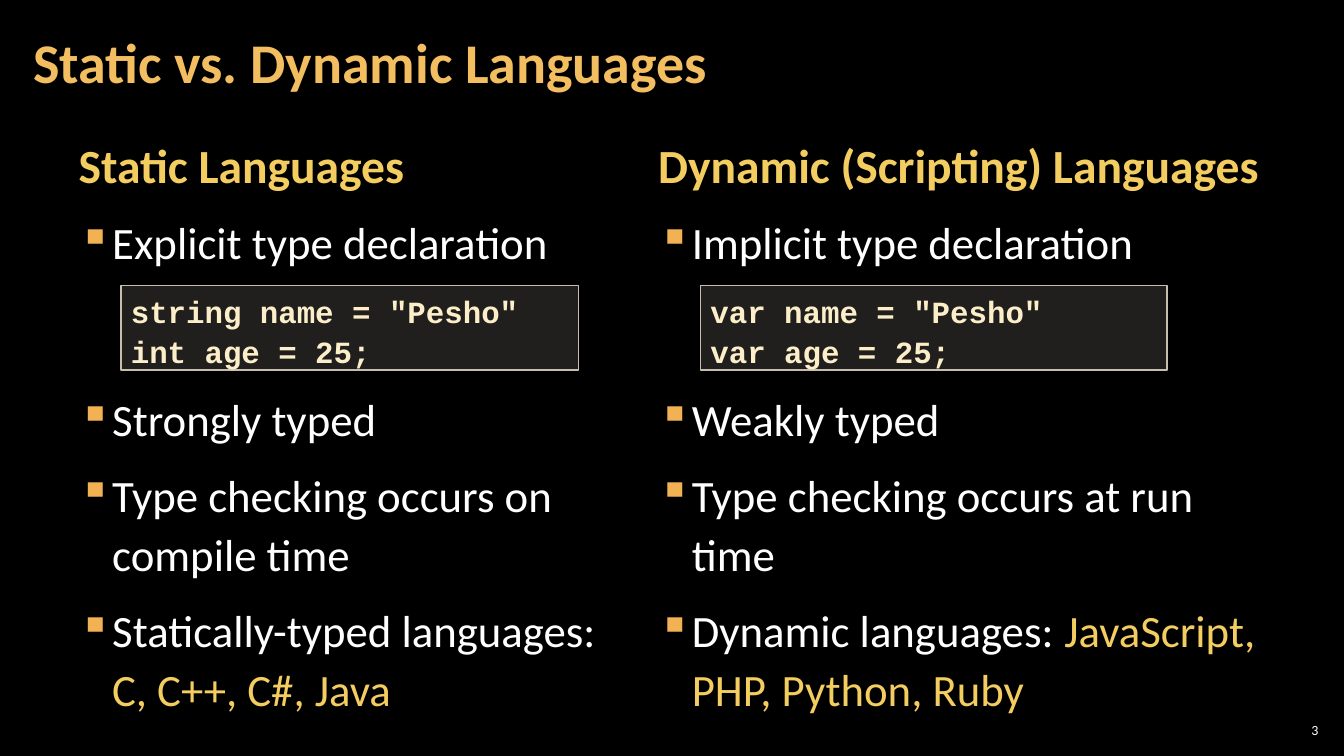
from dataclasses import dataclass

from lxml.etree import SubElement
from pptx import Presentation
from pptx.dml.color import RGBColor
from pptx.enum.shapes import MSO_SHAPE
from pptx.enum.text import MSO_ANCHOR, PP_ALIGN
from pptx.oxml.ns import qn
from pptx.util import Pt


@dataclass(frozen=True)
class Theme:
    """Colours, fonts and type sizes of the slide."""
    background: str = "000000"
    title: str = "F3BE60"
    accent: str = "F3CD60"
    bullet: str = "F2B254"
    body: str = "FFFFFF"
    code: str = "FBEEC9"
    code_fill: str = "D9D5C7"
    code_line: str = "C7BFAC"
    text_font: str = "Calibri"
    code_font: str = "Courier New"
    title_size: float = 40
    heading_size: float = 34
    body_size: float = 32
    code_size: float = 22
    number_size: float = 10
    code_gap: float = 78


class SlideBuilder:
    """Holds the theme and the current slide and adds elements to it."""

    def __init__(self, slide, theme):
        self.slide = slide
        self.theme = theme
        fill = slide.background.fill
        fill.solid()
        fill.fore_color.rgb = RGBColor.from_string(theme.background)

    def add_run(self, paragraph, text, size, color, bold=False, font=None):
        """Add one styled run to a paragraph."""
        run = paragraph.add_run()
        run.text = text
        run.font.name = font or self.theme.text_font
        run.font.size = Pt(size)
        run.font.bold = bold
        run.font.color.rgb = RGBColor.from_string(color)

    def add_text_frame(self, left, top, width, height, side=8.64, anchor=MSO_ANCHOR.TOP):
        """Add a wrapping text box and return its text frame."""
        box = self.slide.shapes.add_textbox(Pt(left), Pt(top), Pt(width), Pt(height))
        frame = box.text_frame
        frame.word_wrap = True
        frame.vertical_anchor = anchor
        frame.margin_left = frame.margin_right = Pt(side)
        frame.margin_top = frame.margin_bottom = Pt(2.88)
        return frame

    def add_title(self, text):
        """Add the slide title."""
        frame = self.add_text_frame(15.12, 2.88, 753.84, 87.12, anchor=MSO_ANCHOR.MIDDLE)
        paragraph = frame.paragraphs[0]
        paragraph.line_spacing = 0.9
        self.add_run(paragraph, text, self.theme.title_size, self.theme.title, True)

    def add_slide_number(self, text):
        """Add the slide number in the lower right corner."""
        frame = self.add_text_frame(910.8, 514.08, 33.84, 15.12, 2.88, MSO_ANCHOR.MIDDLE)
        paragraph = frame.paragraphs[0]
        paragraph.alignment = PP_ALIGN.RIGHT
        self.add_run(paragraph, text, self.theme.number_size, self.theme.body)

    def space_paragraph(self, paragraph, before=6):
        """Apply the common body spacing."""
        paragraph.line_spacing = 1.1
        paragraph.space_before = Pt(before)
        paragraph.space_after = Pt(6)

    def add_bullet(self, frame, text, before, languages=""):
        """Add a bulleted paragraph with an optional highlighted ending."""
        paragraph = frame.add_paragraph()
        self.space_paragraph(paragraph, before)
        properties = paragraph._p.get_or_add_pPr()
        properties.set("marL", str(Pt(24)))
        properties.set("indent", str(Pt(-24)))
        color = SubElement(properties, qn("a:buClr"))
        SubElement(color, qn("a:srgbClr"), val=self.theme.bullet)
        SubElement(properties, qn("a:buChar"), char="▪")
        self.add_run(paragraph, text, self.theme.body_size, self.theme.body)
        if languages:
            self.add_run(paragraph, languages, self.theme.body_size, self.theme.accent)

    def add_column(self, left, width, heading, bullets, languages):
        """Add a heading with bullets, leaving room for code after the first."""
        frame = self.add_text_frame(left, 90, width, 437.76)
        paragraph = frame.paragraphs[0]
        self.space_paragraph(paragraph)
        self.add_run(paragraph, heading, self.theme.heading_size, self.theme.accent, True)
        for index, text in enumerate(bullets):
            before = self.theme.code_gap if index == 1 else 6
            ending = languages if index == len(bullets) - 1 else ""
            self.add_bullet(frame, text, before, ending)

    def add_code(self, left, width, lines):
        """Add a translucent code box."""
        shape = self.slide.shapes.add_shape(
            MSO_SHAPE.RECTANGLE, Pt(left), Pt(203.76), Pt(width), Pt(60.48))
        shape.shadow.inherit = False
        shape.fill.solid()
        shape.fill.fore_color.rgb = RGBColor.from_string(self.theme.code_fill)
        color = shape._element.spPr.find(qn("a:solidFill")).find(qn("a:srgbClr"))
        SubElement(color, qn("a:alpha"), val="15000")
        shape.line.color.rgb = RGBColor.from_string(self.theme.code_line)
        shape.line.width = Pt(1)
        frame = shape.text_frame
        frame.word_wrap = True
        frame.vertical_anchor = MSO_ANCHOR.TOP
        for index, text in enumerate(lines):
            paragraph = frame.add_paragraph() if index else frame.paragraphs[0]
            paragraph.alignment = PP_ALIGN.LEFT
            paragraph.line_spacing = 1.07
            self.add_run(paragraph, text, self.theme.code_size, self.theme.code,
                         True, self.theme.code_font)


def main():
    """Build and save the slide."""
    presentation = Presentation()
    presentation.slide_width, presentation.slide_height = Pt(960), Pt(540)
    slide = presentation.slides.add_slide(presentation.slide_layouts[6])
    builder = SlideBuilder(slide, Theme())
    builder.add_slide_number("3")
    builder.add_title("Static vs. Dynamic Languages")
    builder.add_column(
        47.52, 404.64, "Static Languages",
        ["Explicit type declaration", "Strongly typed",
         "Type checking occurs on compile time", "Statically-typed languages: "],
        "C, C++, C#, Java")
    builder.add_column(
        461.52, 447.12, "Dynamic (Scripting) Languages",
        ["Implicit type declaration", "Weakly typed",
         "Type checking occurs at run time", "Dynamic languages: "],
        "JavaScript, PHP, Python, Ruby")
    builder.add_code(86.4, 326.88, ['string name = "Pesho"', "int age = 25;"])
    builder.add_code(500.4, 333.36, ['var name = "Pesho"', "var age = 25;"])
    presentation.save("out.pptx")


if __name__ == "__main__":
    main()
